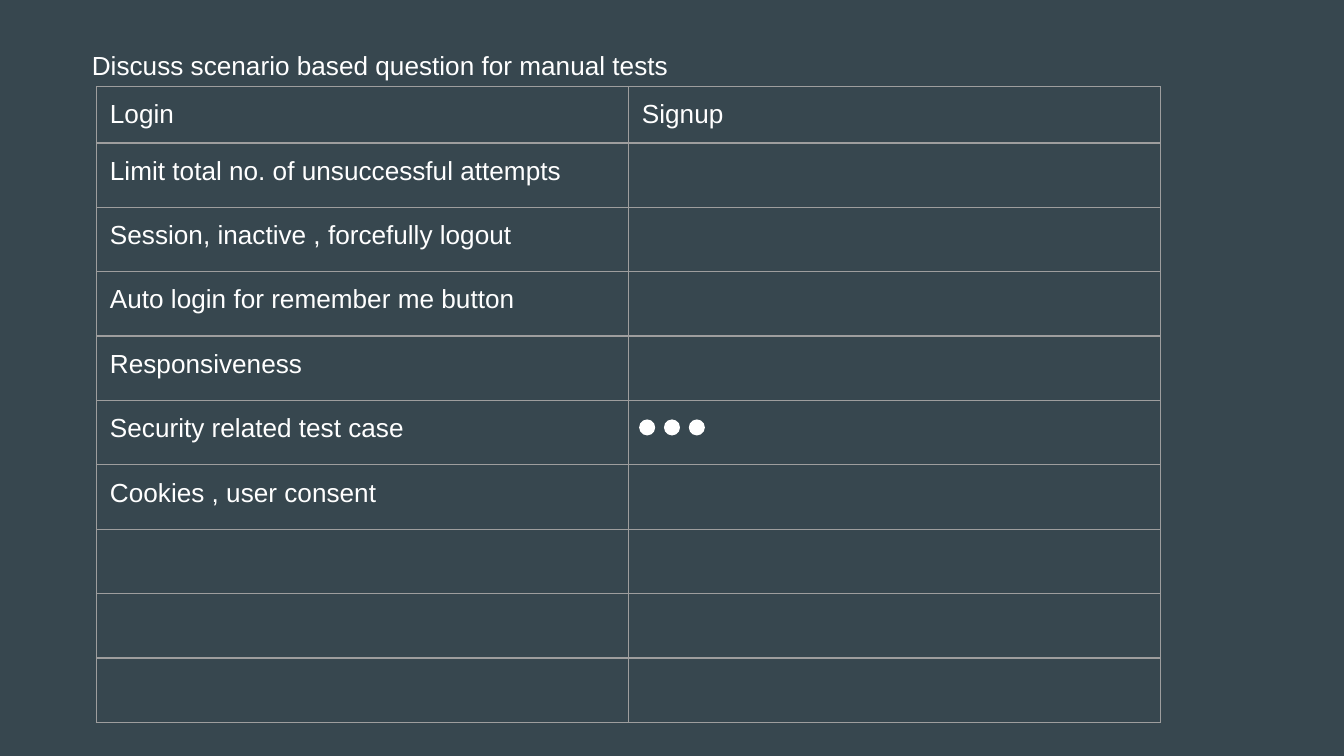
from dataclasses import dataclass

from lxml.etree import SubElement
from pptx import Presentation
from pptx.dml.color import RGBColor
from pptx.enum.shapes import MSO_SHAPE
from pptx.enum.text import MSO_ANCHOR, MSO_AUTO_SIZE, PP_ALIGN
from pptx.oxml.ns import qn
from pptx.util import Pt


@dataclass(frozen=True)
class Theme:
    background: RGBColor = RGBColor.from_string("37474F")
    text: RGBColor = RGBColor.from_string("FFFFFF")
    border: str = "9E9E9E"
    font: str = "Arial"
    size: Pt = Pt(14)
    inset: Pt = Pt(7.2)


theme = Theme()


def style_text(paragraph):
    paragraph.alignment = PP_ALIGN.LEFT
    paragraph.font.name = theme.font
    paragraph.font.size = theme.size
    paragraph.font.bold = False
    paragraph.font.color.rgb = theme.text


def draw_borders(cell):
    properties = cell._tc.get_or_add_tcPr()
    for side in ("a:lnL", "a:lnR", "a:lnT", "a:lnB"):
        line = SubElement(properties, qn(side), w=str(Pt(0.75)))
        paint = SubElement(line, qn("a:solidFill"))
        SubElement(paint, qn("a:srgbClr"), val=theme.border)


deck = Presentation()
deck.slide_width, deck.slide_height = Pt(720), Pt(405)
slide = deck.slides.add_slide(deck.slide_layouts[5])
slide.background.fill.solid()
slide.background.fill.fore_color.rgb = theme.background

dots = slide.shapes.add_group_shape()
for index in range(3):
    dot = dots.shapes.add_shape(
        MSO_SHAPE.OVAL, Pt(342.4 + index * 13.3), Pt(224.7), Pt(8.6), Pt(8.6)
    )
    dot.shadow.inherit = False
    dot.fill.solid()
    dot.fill.fore_color.rgb = theme.text
    dot.line.fill.background()

title = slide.shapes.title
title.left, title.top, title.width, title.height = Pt(42), Pt(0), Pt(614), Pt(50.4)
heading = title.text_frame
heading.text = "Discuss scenario based question for manual tests"
heading.word_wrap = True
heading.auto_size = MSO_AUTO_SIZE.NONE
heading.vertical_anchor = MSO_ANCHOR.BOTTOM
heading.margin_left = heading.margin_right = theme.inset
heading.margin_top = heading.margin_bottom = theme.inset
style_text(heading.paragraphs[0])

scenarios = [
    ("Login", "Signup"),
    ("Limit total no. of unsuccessful attempts", ""),
    ("Session, inactive , forcefully logout", ""),
    ("Auto login for remember me button", ""),
    ("Responsiveness", ""),
    ("Security related test case", ""),
    ("Cookies , user consent", ""),
    ("", ""),
    ("", ""),
    ("", ""),
]
header_height, row_height = Pt(30.3), Pt(34.5)
table = slide.shapes.add_table(
    len(scenarios), 2, Pt(51.7), Pt(46.3), Pt(570),
    header_height + row_height * (len(scenarios) - 1),
).table
table.first_row = table.horz_banding = False

for row_index, (row, texts) in enumerate(zip(table.rows, scenarios)):
    row.height = row_height if row_index else header_height
    for cell, text in zip(row.cells, texts):
        cell.margin_left = cell.margin_right = theme.inset
        cell.margin_top = cell.margin_bottom = theme.inset if text else 0
        draw_borders(cell)
        cell.fill.background()
        if text:
            cell.text = text
            style_text(cell.text_frame.paragraphs[0])

deck.save("out.pptx")
